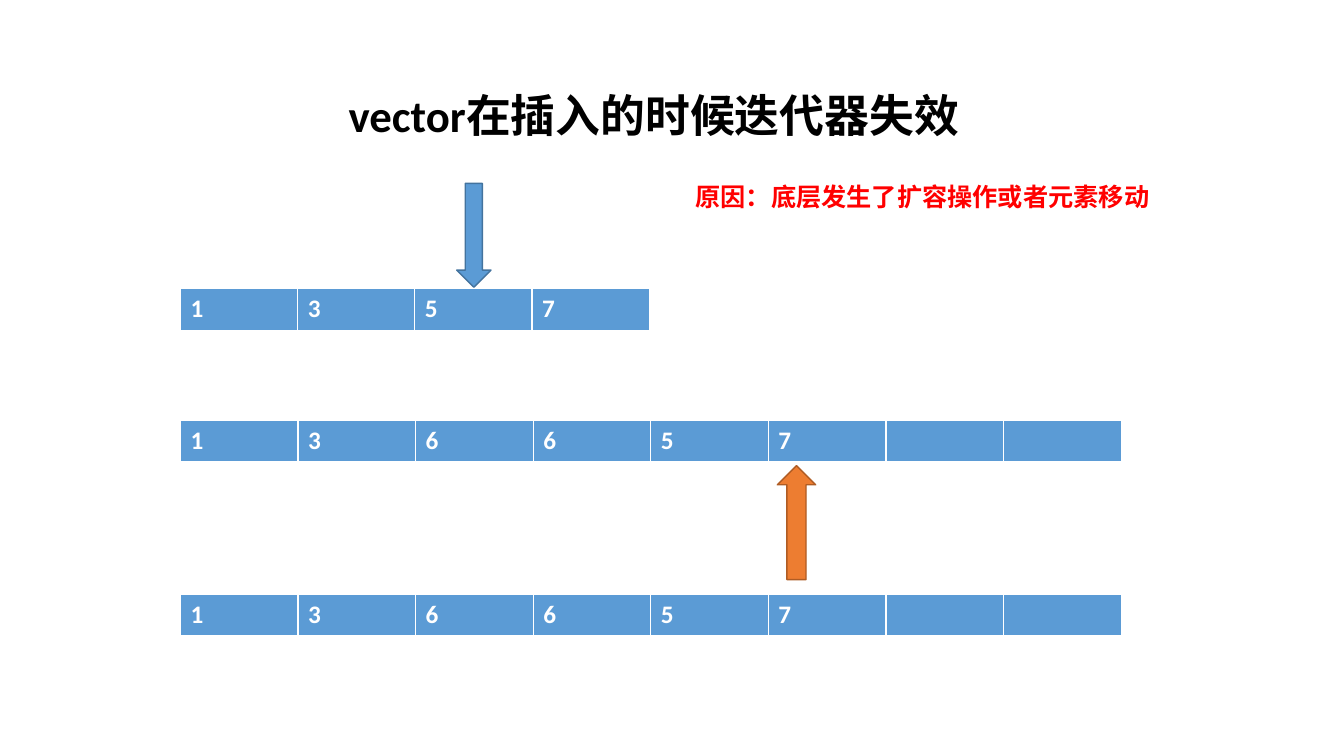
from lxml import etree
from pptx import Presentation
from pptx.dml.color import RGBColor
from pptx.enum.shapes import MSO_SHAPE as SHAPE
from pptx.enum.text import MSO_AUTO_SIZE as AUTO
from pptx.oxml.ns import qn
from pptx.util import Pt

PX = 9144
FONT = "Calibri"
COLORS = {
    "black": "000000", "white": "FFFFFF", "red": "FF0000",
    "blue": "5B9BD5", "blue_edge": "43739E",
    "orange": "ED7D31", "orange_edge": "AF5C24",
}
BORDERS = {"lnL": 1, "lnR": 1, "lnT": 1, "lnB": 3}


def rgb(name):
    """Return the named colour."""
    return RGBColor.from_string(COLORS[name])


def emu(box):
    """Turn a px box into EMU lengths."""
    return [v * PX for v in box]


def add_run(p, text, size, color):
    """Add one bold run to a paragraph."""
    r = p.add_run()
    r.text = text
    r.font.name, r.font.size, r.font.bold = FONT, Pt(size), True
    r.font.color.rgb = rgb(color)


def add_label(s, box, text, size, color):
    """Place a line of text in the box."""
    tf = s.shapes.add_textbox(*emu(box)).text_frame
    tf.word_wrap = True
    tf.auto_size = AUTO.SHAPE_TO_FIT_TEXT
    add_run(tf.paragraphs[0], text, size, color)


def add_borders(cell):
    """Draw white borders around a cell."""
    tc_pr = cell._tc.get_or_add_tcPr()
    for i, (tag, width) in enumerate(BORDERS.items()):
        ln = etree.Element(qn(f"a:{tag}"), w=str(Pt(width)))
        fill = etree.SubElement(ln, qn("a:solidFill"))
        etree.SubElement(fill, qn("a:srgbClr"), val=COLORS["white"])
        tc_pr.insert(i, ln)


def add_vector(s, box, values):
    """Show a vector's slots as a one-row table filling the box."""
    x, y, w, h = emu(box)
    table = s.shapes.add_table(1, len(values), x, y, w, h).table
    for column, cell, value in zip(table.columns, table.rows[0].cells, values):
        column.width = w // len(values)
        cell.fill.solid()
        cell.fill.fore_color.rgb = rgb("blue")
        add_borders(cell)
        if value:
            add_run(cell.text_frame.paragraphs[0], value, 18, "white")


def add_iterator(s, box, shape, color):
    """Place a block arrow that marks an iterator."""
    sp = s.shapes.add_shape(shape, *emu(box))
    sp.shadow.inherit = False
    sp.fill.solid()
    sp.fill.fore_color.rgb = rgb(color)
    sp.line.color.rgb = rgb(f"{color}_edge")
    sp.line.width = Pt(1)


def build_slide(prs):
    """Build the slide on iterator invalidation."""
    s = prs.slides.add_slide(prs.slide_layouts[6])
    add_label(s, (336, 82, 663, 64), "vector在插入的时候迭代器失效", 32, "black")
    add_label(s, (680, 175, 504, 40), "原因：底层发生了扩容操作或者元素移动", 18, "red")
    add_vector(s, (179, 286, 465, 43), ["1", "3", "5", "7"])
    for y in (417, 590):
        add_vector(s, (179, y, 933, 42), ["1", "3", "6", "6", "5", "7", "", ""])
    add_iterator(s, (453, 182, 34, 103), SHAPE.DOWN_ARROW, "blue")
    add_iterator(s, (771, 462, 38, 113), SHAPE.UP_ARROW, "orange")


def main():
    """Create and save the presentation."""
    prs = Presentation()
    prs.slide_width, prs.slide_height = emu((1333, 750))
    build_slide(prs)
    prs.save("out.pptx")


if __name__ == "__main__":
    main()
